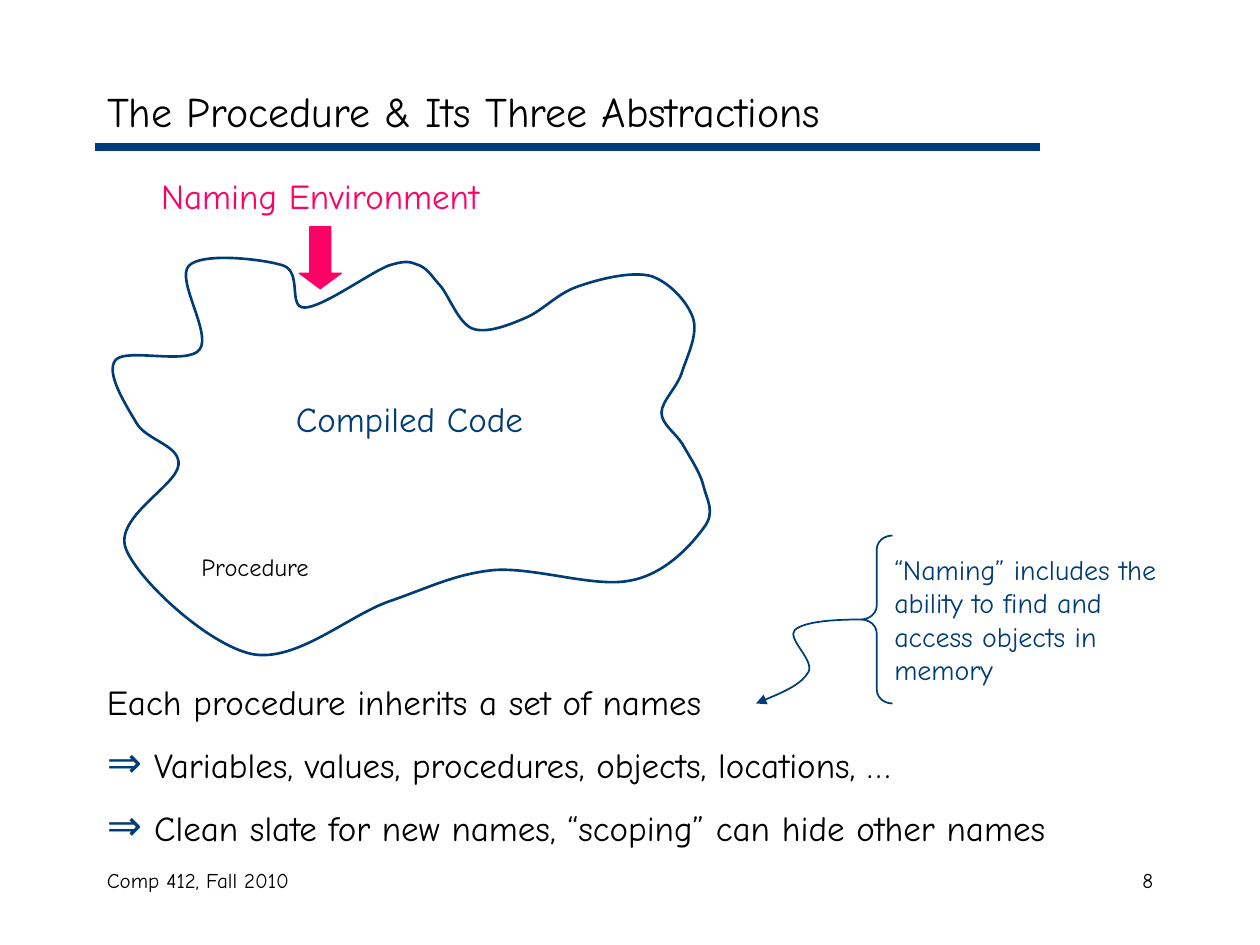
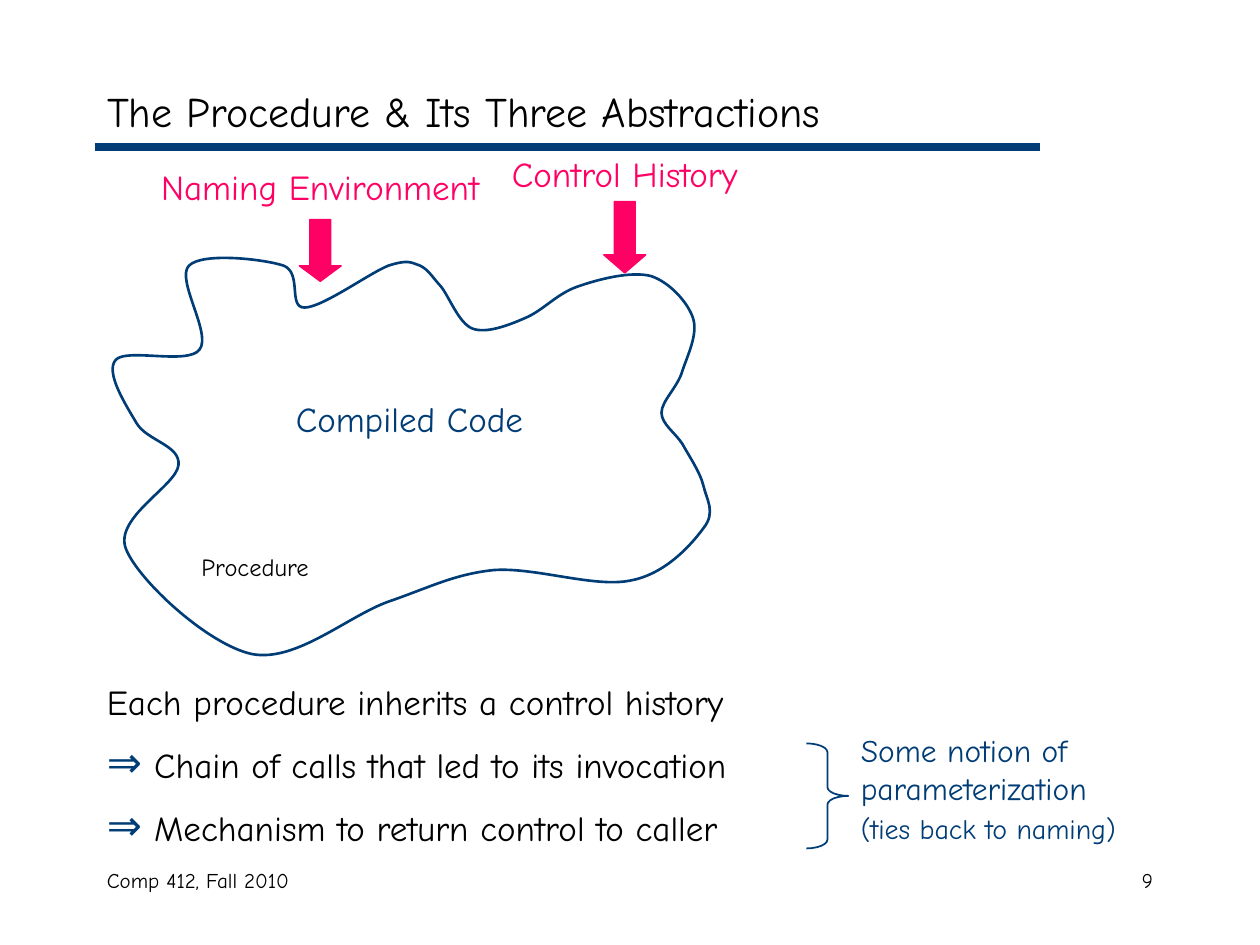
import pptx
import pptx.dml.color
import pptx.enum.shapes
import pptx.enum.text
import pptx.oxml.ns
import pptx.util
from lxml import etree

SCALE = 914400 // 120
FONT = "Comic Neue"
NAVY = pptx.dml.color.RGBColor(0x00, 0x3C, 0x75)
PINK = pptx.dml.color.RGBColor(0xFF, 0x00, 0x65)
BLACK = pptx.dml.color.RGBColor(0x00, 0x00, 0x00)
SHAPES = pptx.enum.shapes.MSO_SHAPE
ALIGN = pptx.enum.text.PP_ALIGN

TITLE = "The Procedure & Its Three Abstractions"
FOOTER = "Comp 412, Fall 2010"

SLIDES = [
    {
        "number": 8,
        "lead": "Each procedure inherits a set of names",
        "bullets": [
            "Variables, values, procedures, objects, locations, …",
            "Clean slate for new names, “scoping” can hide other names",
        ],
        "inputs": [("Naming Environment", (110, 160, 390, 53), (285, 216, 40, 59), 0.37)],
        "note": [("“Naming” includes the ability to find and access objects in memory", 16)],
        "note_area": (840, 520, 290, 140),
        "brace": (SHAPES.LEFT_BRACE, (820, 510, 30, 160), 0.44),
        "pointer": [
            (820, 590),
            (793, 590), (766, 592), (757, 600),
            (749, 608), (776, 629), (770, 640),
            (763, 652), (742, 661), (720, 670),
        ],
    },
    {
        "number": 9,
        "lead": "Each procedure inherits a control history",
        "bullets": [
            "Chain of calls that led to its invocation",
            "Mechanism to return control to caller",
        ],
        "inputs": [
            ("Naming Environment", (110, 152, 390, 53), (285, 209, 40, 59), 0.37),
            ("Control History", (400, 139, 390, 53), (575, 192, 40, 68), 0.43),
        ],
        "note": [("Some notion of parameterization", 18), ("(ties back to naming)", 16)],
        "note_area": (808, 690, 300, 121),
        "brace": (SHAPES.RIGHT_BRACE, (768, 708, 40, 100), 0.21),
        "pointer": [],
    },
]

PROCEDURE_OUTLINE = [
    (130, 403),
    (120, 386), (100, 355), (110, 343),
    (120, 331), (179, 348), (190, 333),
    (202, 318), (167, 266), (180, 253),
    (193, 240), (252, 247), (270, 253),
    (288, 260), (274, 293), (290, 293),
    (307, 293), (352, 260), (370, 253),
    (389, 247), (391, 250), (400, 253),
    (408, 257), (411, 263), (420, 273),
    (428, 283), (437, 308), (450, 313),
    (463, 318), (484, 310), (500, 303),
    (517, 296), (530, 280), (550, 273),
    (570, 266), (601, 258), (620, 263),
    (638, 269), (655, 288), (660, 303),
    (665, 318), (655, 338), (650, 353),
    (646, 368), (630, 382), (630, 393),
    (630, 404), (643, 412), (650, 423),
    (656, 434), (667, 450), (670, 463),
    (673, 476), (682, 488), (670, 503),
    (659, 518), (634, 547), (600, 553),
    (566, 560), (509, 540), (470, 543),
    (432, 547), (408, 560), (370, 573),
    (331, 587), (282, 631), (240, 623),
    (198, 614), (132, 553), (120, 523),
    (108, 493), (168, 463), (170, 443),
    (172, 424), (140, 420), (130, 403),
]


def emu(*lengths):
    return [length * SCALE for length in lengths]


def add_child(parent, tag, **attributes):
    return etree.SubElement(parent, pptx.oxml.ns.qn(tag), attributes)


def write(frame, text, *, size, color=BLACK, align=ALIGN.LEFT, before=0, bullet=None):
    first = frame.paragraphs[0]
    para = frame.add_paragraph() if first.runs else first
    if bullet:
        properties = para._p.get_or_add_pPr()
        indent, = emu(45)
        properties.set("marL", str(indent))
        properties.set("indent", str(-indent))
        bullet_color = add_child(properties, "a:buClr")
        add_child(bullet_color, "a:srgbClr", val=str(NAVY))
        add_child(properties, "a:buSzPct", val="120000")
        add_child(properties, "a:buFont", typeface=FONT)
        add_child(properties, "a:buChar", char=bullet)
    para.alignment = align
    para.space_before = pptx.util.Pt(before)
    span = para.add_run()
    span.text = text
    span.font.name = FONT
    span.font.size = pptx.util.Pt(size)
    span.font.color.rgb = color


def add_frame(page, area):
    frame = page.shapes.add_textbox(*emu(*area)).text_frame
    frame.word_wrap = True
    return frame


def style_shape(shape, color, width, filled=False):
    shape.shadow.inherit = False
    if filled:
        shape.fill.solid()
        shape.fill.fore_color.rgb = color
    else:
        shape.fill.background()
    shape.line.color.rgb = color
    shape.line.width = pptx.util.Pt(width)


def add_curve(page, nodes, width, closed=False):
    builder = page.shapes.build_freeform(*nodes[0], scale=SCALE)
    builder.add_line_segments(nodes[1:], close=closed)
    curve = builder.convert_to_shape()
    style_shape(curve, NAVY, width)

    segments = list(curve._element.iter(pptx.oxml.ns.qn("a:lnTo")))[:len(nodes) - 1]
    outline = segments[0].getparent()
    for start in range(0, len(segments), 3):
        bend = etree.Element(pptx.oxml.ns.qn("a:cubicBezTo"))
        outline.insert(outline.index(segments[start]), bend)
        for segment in segments[start:start + 3]:
            bend.append(segment[0])
            outline.remove(segment)
    return curve


def add_base(page, number):
    rule = page.shapes.add_connector(
        pptx.enum.shapes.MSO_CONNECTOR.STRAIGHT, *emu(90, 140, 990, 140))
    rule.line.color.rgb = NAVY
    rule.line.width = pptx.util.Pt(4.5)
    add_child(rule._element.spPr, "a:effectLst")

    write(add_frame(page, (90, 820, 380, 60)), FOOTER, size=12)
    write(add_frame(page, (860, 820, 250, 60)), str(number), size=12, align=ALIGN.RIGHT)

    title = page.shapes.title
    title.left, title.top, title.width, title.height = emu(90, 70, 1020, 70)
    title.text_frame.vertical_anchor = pptx.enum.text.MSO_ANCHOR.MIDDLE
    write(title.text_frame, TITLE, size=24)


def add_procedure(page):
    add_curve(page, PROCEDURE_OUTLINE, 1.5, closed=True)
    write(add_frame(page, (260, 373, 260, 53)), "Compiled Code",
          size=20, color=NAVY, align=ALIGN.CENTER)
    write(add_frame(page, (180, 520, 200, 41)), "Procedure", size=14)


def add_input(page, label, label_area, arrow_area, head):
    write(add_frame(page, label_area), label, size=20, color=PINK, align=ALIGN.CENTER)
    arrow = page.shapes.add_shape(SHAPES.DOWN_ARROW, *emu(*arrow_area))
    arrow.adjustments[1] = head
    style_shape(arrow, PINK, 0.75, filled=True)


def add_note(page, content):
    frame = add_frame(page, content["note_area"])
    for index, (text, size) in enumerate(content["note"]):
        write(frame, text, size=size, color=NAVY, before=3 if index else 0)
    kind, area, bend = content["brace"]
    brace = page.shapes.add_shape(kind, *emu(*area))
    brace.adjustments[0] = bend
    style_shape(brace, NAVY, 1)
    if content["pointer"]:
        pointer = add_curve(page, content["pointer"], 1)
        outline = pointer._element.spPr.find(pptx.oxml.ns.qn("a:ln"))
        add_child(outline, "a:tailEnd", type="triangle")


def add_summary(page, lead, bullets):
    frame = add_frame(page, (90, 140, 1020, 700))
    frame.margin_top, = emu(508)
    write(frame, lead, size=20)
    for text in bullets:
        write(frame, text, size=20, before=12, bullet="⇒")


def main():
    deck = pptx.Presentation()
    deck.slide_width, deck.slide_height = emu(1200, 900)
    for content in SLIDES:
        page = deck.slides.add_slide(deck.slide_layouts[5])
        add_base(page, content["number"])
        add_summary(page, content["lead"], content["bullets"])
        add_note(page, content)
        for entry in content["inputs"]:
            add_input(page, *entry)
        add_procedure(page)
    deck.save("out.pptx")


if __name__ == "__main__":
    main()
